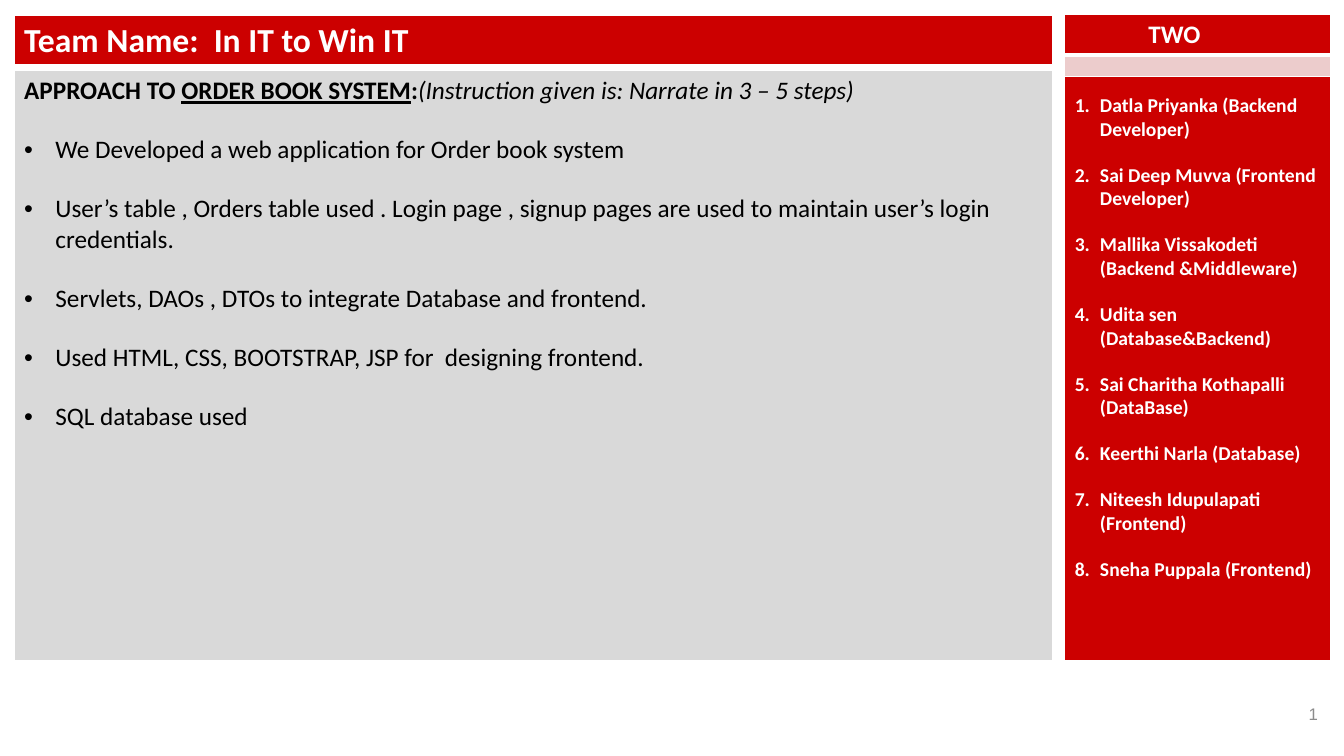
from lxml.etree import SubElement
from pptx import Presentation
from pptx.dml.color import RGBColor
from pptx.enum.text import MSO_ANCHOR, PP_ALIGN
from pptx.oxml.ns import qn
from pptx.util import Inches, Pt

THEME = {
    "red": "CC0000", "pink": "ECCCCC", "pale": "F6E7E7", "grey": "D9D9D9",
    "white": "FFFFFF", "black": "000000", "muted": "8C8C8C",
    "title": 24, "body": 18, "member": 14, "number": 12,
    "font": "Calibri", "number_font": "Arial",
    "gap": 1.12,  # space before a list item, as a share of its type size
}

# Grid: (start, length) of columns and rows, in inches
MAIN, SIDE = (0.14, 10.3), (10.56, 2.64)
ROWS = {"title": (0.15, 0.5), "team": (0.14, 1.22), "members": (0.76, 5.81),
        "approach": (0.7, 5.87)}


def write(frame, paragraphs, size, color, font=THEME["font"], bold=False,
          align=PP_ALIGN.LEFT, bullet=None, indent=0.0, lead=0):
    """Write paragraphs of (text, italic, underline) runs; the first `lead` are unbulleted."""
    for index, runs in enumerate(paragraphs):
        paragraph = frame.paragraphs[0] if index == 0 else frame.add_paragraph()
        paragraph.alignment = align
        if index:
            paragraph.space_before = Pt(round(size * THEME["gap"], 1))
        if bullet and index >= lead:
            properties = paragraph._p.get_or_add_pPr()
            properties.set("marL", str(Inches(indent)))
            properties.set("indent", str(-Inches(indent)))
            kind, key, value = bullet
            if kind == "a:buChar":
                SubElement(properties, qn("a:buFont")).set("typeface", "Arial")
            SubElement(properties, qn(kind)).set(key, value)
        for text, weight, italic, underline in runs:
            run = paragraph.add_run()
            run.text = text
            run.font.name, run.font.size = font, Pt(size)
            run.font.bold = bold or weight
            run.font.italic, run.font.underline = italic, underline
            run.font.color.rgb = RGBColor.from_string(color)


def add_panel(column, row, fills):
    """Add a one-column table with white borders and return its cells."""
    (left, width), (top, height) = column, row
    panel = slide.shapes.add_table(len(fills), 1, Inches(left), Inches(top),
                                   Inches(width), Inches(height)).table
    panel.first_row = panel.horz_banding = False
    for index, fill in enumerate(fills):
        panel.rows[index].height = Inches(height / len(fills))
        cell = panel.cell(index, 0)
        properties = cell._tc.get_or_add_tcPr()
        for side in "LRTB":
            thick = side == "B" and index == 0
            border = SubElement(properties, qn(f"a:ln{side}"), w=str(Pt(3 if thick else 1)))
            paint = SubElement(border, qn("a:solidFill"))
            SubElement(paint, qn("a:srgbClr"), val=THEME["white"])
        cell.fill.solid()
        cell.fill.fore_color.rgb = RGBColor.from_string(THEME[fill])
    return [panel.cell(index, 0) for index in range(len(fills))]


deck = Presentation()
deck.slide_width, deck.slide_height = Inches(13.33), Inches(7.5)
slide = deck.slides.add_slide(deck.slide_layouts[6])

# Slide number
number = slide.shapes.add_textbox(Inches(12.74), Inches(6.88), Inches(0.43), Inches(0.4))
number.text_frame.word_wrap = True
number.text_frame.vertical_anchor = MSO_ANCHOR.MIDDLE
write(number.text_frame, [[("1", False, False, False)]], THEME["number"], THEME["muted"],
      font=THEME["number_font"], align=PP_ALIGN.RIGHT)

# Team name
title, = add_panel(MAIN, ROWS["title"], ["red"])
write(title.text_frame, [[("Team Name:  In IT to Win IT", True, False, False)]],
      THEME["title"], THEME["white"])

# Team number
team = add_panel(SIDE, ROWS["team"], ["red", "pink", "pale"])[0]
team.margin_left = Inches(0.83)
write(team.text_frame, [[("TWO", True, False, False)]], THEME["body"], THEME["white"])

# Team members
members = [
    "Datla Priyanka (Backend Developer)",
    "Sai Deep Muvva (Frontend Developer)",
    "Mallika Vissakodeti (Backend &Middleware)",
    "Udita sen (Database&Backend)",
    "Sai Charitha Kothapalli (DataBase)",
    "Keerthi Narla (Database)",
    "Niteesh Idupulapati (Frontend)",
    "Sneha Puppala (Frontend)",
]
roster, = add_panel(SIDE, ROWS["members"], ["red"])
roster.margin_top = Inches(0.17)
write(roster.text_frame, [[(member, True, False, False)] for member in members],
      THEME["member"], THEME["white"], bold=True,
      bullet=("a:buAutoNum", "type", "arabicPeriod"), indent=0.25)

# Approach
heading = [
    ("APPROACH TO ", True, False, False),
    ("ORDER BOOK SYSTEM", True, False, True),
    (":", True, False, False),
    ("(Instruction given is: Narrate in 3 – 5 steps)", False, True, False),
]
steps = [
    "We Developed a web application for Order book system",
    "User’s table , Orders table used . Login page , signup pages are used to "
    "maintain user’s login credentials.",
    "Servlets, DAOs , DTOs to integrate Database and frontend.",
    "Used HTML, CSS, BOOTSTRAP, JSP for  designing frontend.",
    "SQL database used",
]
approach, = add_panel(MAIN, ROWS["approach"], ["grey"])
write(approach.text_frame, [heading] + [[(step, False, False, False)] for step in steps],
      THEME["body"], THEME["black"], bullet=("a:buChar", "char", "•"), indent=0.31, lead=1)

deck.save("out.pptx")
